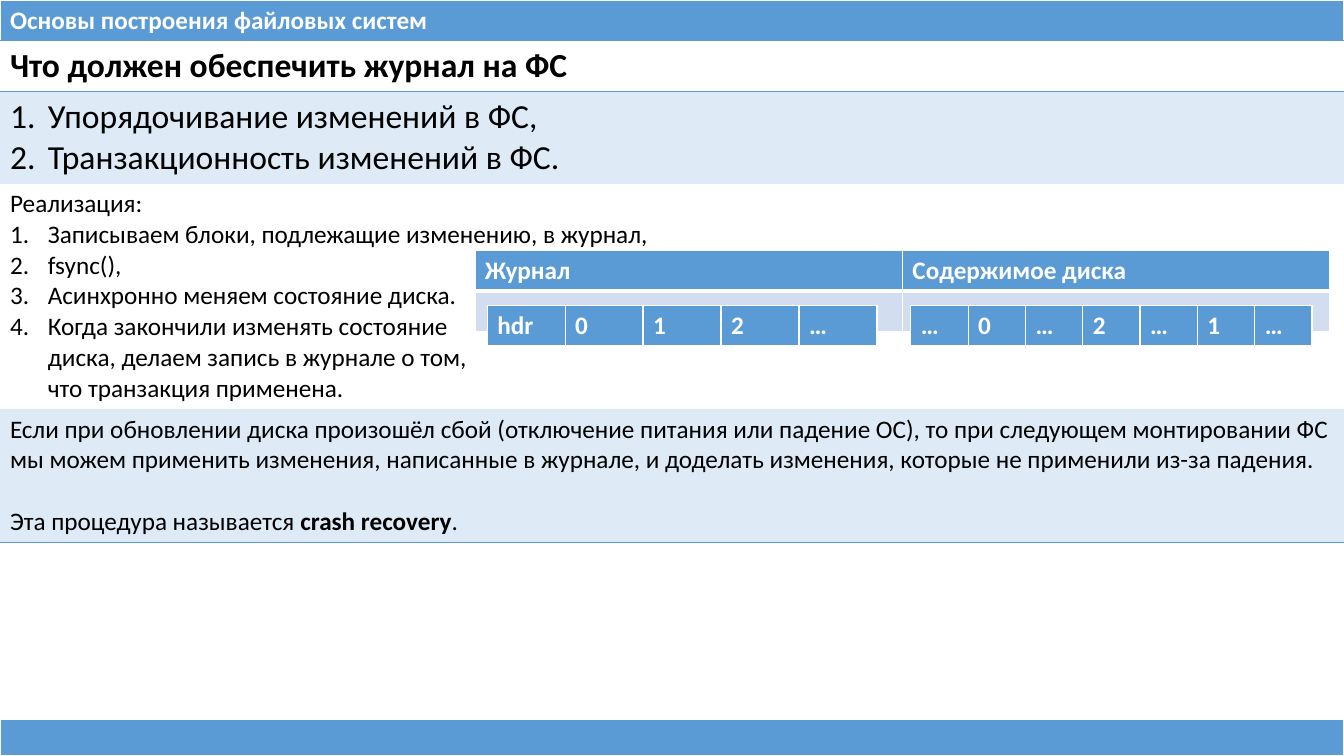
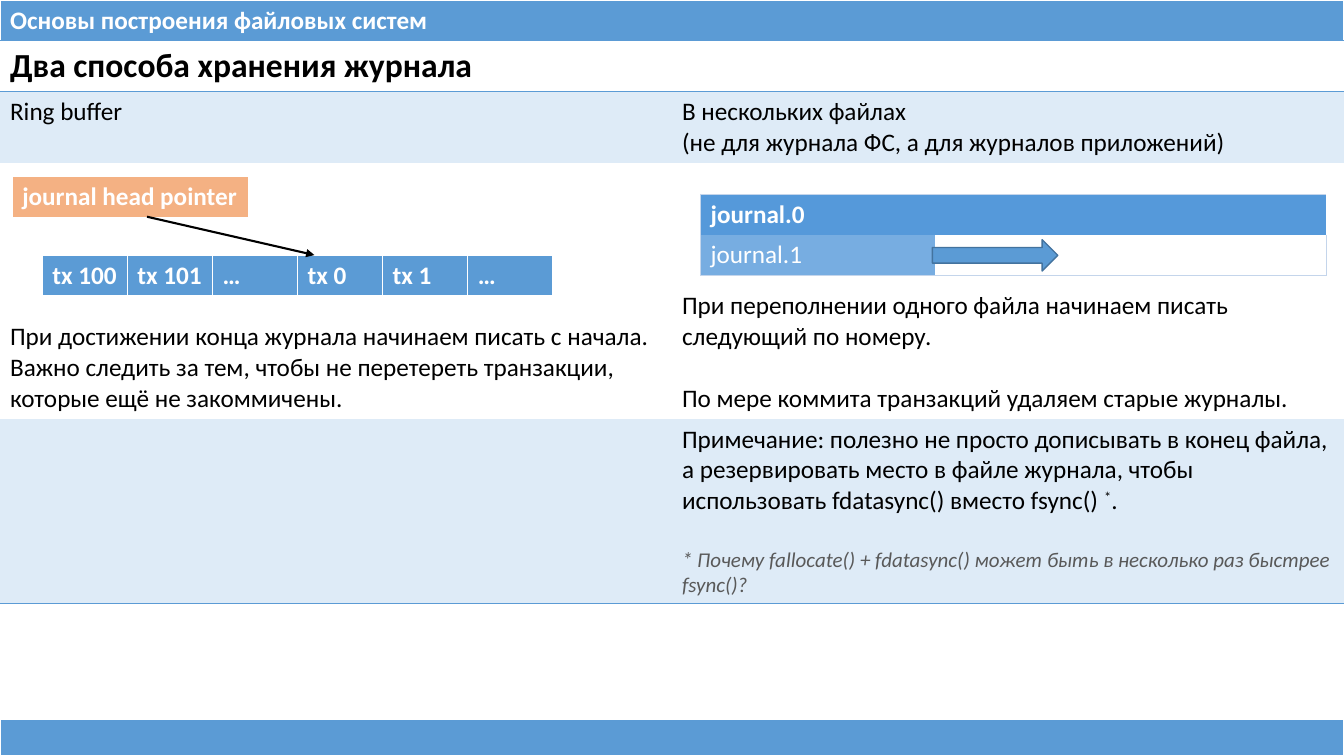
from dataclasses import dataclass

from lxml import etree
from pptx import Presentation
from pptx.dml.color import RGBColor
from pptx.enum.shapes import MSO_CONNECTOR, MSO_SHAPE
from pptx.enum.text import MSO_ANCHOR
from pptx.oxml.ns import qn
from pptx.util import Pt

STRAIGHT = MSO_CONNECTOR.STRAIGHT
RIGHT_ARROW = MSO_SHAPE.RIGHT_ARROW
TOP, BOTTOM = MSO_ANCHOR.TOP, MSO_ANCHOR.BOTTOM

COLORS = {
    "blue": "5B9BD5",
    "pale": "DEEBF7",
    "band": "D2DEEF",
    "orange": "F4B183",
    "file": "5599DA",
    "file_light": "77ADE1",
    "file_edge": "C4D5EB",
    "arrow_edge": "43739E",
    "white": "FFFFFF",
    "black": "000000",
    "grey": "595959",
}
FONT = "Calibri"
PLAIN_TABLE = "{2D5ABB26-0587-4C30-8999-92F81FD0307C}"
W, H = 960, 540
BAR_H = 28.8
FOOTER_Y = 514
LINE = 22  # height of one body line
INDENT = 27


@dataclass(frozen=True)
class Run:
    text: str
    bold: bool = False
    superscript: bool = False


@dataclass(frozen=True)
class Para:
    runs: tuple[Run, ...]
    size: float = 18
    color: str = "black"
    bold: bool | None = None
    italic: bool = False
    numbered: bool = False
    before: float = 0


@dataclass(frozen=True)
class Cell:
    paras: tuple[Para, ...] = ()
    fill: str | None = None
    anchor: MSO_ANCHOR = TOP
    span: int = 1


def para(text: str, **style) -> Para:
    return Para((Run(text),), **style)


def label(text: str, fill: str = "blue", bold: bool = True, span: int = 1) -> Cell:
    return Cell((para(text, color="white", bold=bold),), fill, span=span)


def rgb(name: str) -> RGBColor:
    return RGBColor.from_string(COLORS[name])


def write_para(p, item: Para) -> None:
    f = p.font
    f.name, f.size, f.italic = FONT, Pt(item.size), item.italic
    f.color.rgb = rgb(item.color)
    if item.bold is not None:
        f.bold = item.bold
    if item.before:
        p.space_before = Pt(item.before)
    if item.numbered:
        pPr = p._p.get_or_add_pPr()
        pPr.set("marL", str(Pt(INDENT)))
        pPr.set("indent", str(-Pt(INDENT)))
        number = etree.Element(qn("a:buAutoNum"), type="arabicPeriod")
        pPr.insert_element_before(number, "a:defRPr")
    for run in item.runs:
        for i, piece in enumerate(run.text.split("\n")):
            if i:
                p.add_line_break()
            r = p.add_run()
            r.text = piece
            if run.bold:
                r.font.bold = True
            if run.superscript:
                r._r.get_or_add_rPr().set("baseline", "30000")


def add_border(cell, side: str, width: float, color: str) -> None:
    tcPr = cell._tc.get_or_add_tcPr()
    ln = etree.SubElement(tcPr, qn(f"a:ln{side}"), w=str(Pt(width)))
    if width:
        fill = etree.SubElement(ln, qn("a:solidFill"))
        etree.SubElement(fill, qn("a:srgbClr"), val=COLORS[color])
    else:
        etree.SubElement(ln, qn("a:noFill"))


def draw_table(slide, x: float, y: float, cols: list[float], rows: list[float],
               cells: list[list[Cell]], line: str = "white",
               across: dict[int, float] | None = None,
               down: dict[int, float] | None = None) -> None:
    """across and down give the width of each grid line by index."""
    across = dict.fromkeys(range(len(rows) + 1), 1) if across is None else across
    down = dict.fromkeys(range(len(cols) + 1), 1) if down is None else down
    frame = slide.shapes.add_table(len(rows), len(cols), Pt(x), Pt(y),
                                   Pt(sum(cols)), Pt(sum(rows)))
    table = frame.table
    table.first_row = table.horz_banding = False
    table._tbl.tblPr.find(qn("a:tableStyleId")).text = PLAIN_TABLE
    for col, width in zip(table.columns, cols):
        col.width = Pt(width)
    for row, height in zip(table.rows, rows):
        row.height = Pt(height)
    for i, items in enumerate(cells):
        for j, item in enumerate(items):
            cell = table.cell(i, j)
            if item.span > 1:
                cell.merge(table.cell(i, j + item.span - 1))
            last = j + item.span
            for k in range(j, last):
                part = table.cell(i, k)
                edges = {"L": down.get(k, 0) if k == j else 0,
                         "R": down.get(k + 1, 0) if k + 1 == last else 0,
                         "T": across.get(i, 0), "B": across.get(i + 1, 0)}
                for side, width in edges.items():
                    add_border(part, side, width, line)
            if item.fill:
                cell.fill.solid()
                cell.fill.fore_color.rgb = rgb(item.fill)
            else:
                cell.fill.background()
            cell.vertical_anchor = item.anchor
            if not item.paras:
                cell.margin_top = cell.margin_bottom = 0
            tf = cell.text_frame
            for n, text in enumerate(item.paras):
                write_para(tf.add_paragraph() if n else tf.paragraphs[0], text)


def add_arrow_line(slide, x1: float, y1: float, x2: float, y2: float) -> None:
    c = slide.shapes.add_connector(STRAIGHT, Pt(x1), Pt(y1), Pt(x2), Pt(y2))
    c.line.color.rgb = rgb("black")
    c.line.width = Pt(1.5)
    etree.SubElement(c.line._get_or_add_ln(), qn("a:tailEnd"), type="triangle")
    etree.SubElement(c._element.spPr, qn("a:effectLst"))


def add_page(prs, title: str, cols: list[float], rows: list[float],
             body: list[list[Cell]]):
    """Slide with header bar, footer bar, title row and body rows."""
    slide = prs.slides.add_slide(prs.slide_layouts[6])
    draw_table(slide, 0, 0, [W], [BAR_H],
               [[label("Основы построения файловых систем")]])
    draw_table(slide, 0, FOOTER_Y, [W], [H - FOOTER_Y], [[Cell(fill="blue")]])
    heading = Cell((para(title, size=24, bold=True),), span=len(cols))
    draw_table(slide, 0, BAR_H, cols, [36.5, *rows], [[heading], *body],
               "blue", {0: 1, 1: 1, len(rows) + 1: 1}, {})
    return slide


def build_requirements(prs) -> None:
    goals = ("Упорядочивание изменений в ФС,", "Транзакционность изменений в ФС.")
    steps = (
        "Записываем блоки, подлежащие изменению, в журнал,",
        "fsync(),",
        "Асинхронно меняем состояние диска.",
        "Когда закончили изменять состояние\nдиска, делаем запись в журнале о том,\n"
        "что транзакция применена.",
    )
    recovery = (
        para("Если при обновлении диска произошёл сбой (отключение питания или падение "
             "ОС), то при следующем монтировании ФС мы можем применить изменения, "
             "написанные в журнале, и доделать изменения, которые не применили из-за "
             "падения."),
        Para((Run("Эта процедура называется "), Run("crash recovery", bold=True),
              Run(".")), before=LINE),
    )
    slide = add_page(prs, "Что должен обеспечить журнал на ФС", [W], [65.7, 160.7, 95.5], [
        [Cell(tuple(para(g, size=24, numbered=True) for g in goals), "pale")],
        [Cell((para("Реализация:"), *(para(s, numbered=True) for s in steps)))],
        [Cell(recovery, "pale")],
    ])
    # Journal and disk blocks
    draw_table(slide, 339.4, 178.6, [305.2] * 2, [29.2] * 2,
               [[label("Журнал"), label("Содержимое диска")],
                [Cell(fill="band"), Cell(fill="band")]],
               across={0: 1, 1: 3, 2: 1})
    for x, width, blocks in ((348, 55.7, "hdr 0 1 2 …"),
                             (650.6, 40.95, "… 0 … 2 … 1 …")):
        names = blocks.split()
        draw_table(slide, x, 218, [width] * len(names), [29.2],
                   [[label(n) for n in names]])


def build_storage(prs) -> None:
    ring = para("При достижении конца журнала начинаем писать с начала. Важно следить за "
                "тем, чтобы не перетереть транзакции, которые ещё не закоммичены.")
    files = (
        para("При переполнении одного файла начинаем писать следующий по номеру."),
        para("По мере коммита транзакций удаляем старые журналы.", before=LINE),
    )
    note = (
        Para((Run("Примечание: полезно не просто дописывать в конец файла, а "
                  "резервировать место в файле журнала, чтобы использовать fdatasync() "
                  "вместо fsync() "), Run("*", superscript=True), Run("."))),
        para("* Почему fallocate() + fdatasync() может быть в несколько раз быстрее "
             "fsync()?", size=15, color="grey", italic=True, before=LINE),
    )
    slide = add_page(prs, "Два способа хранения журнала", [W / 2] * 2, [51.2, 182.8, 131.6], [
        [Cell((para("Ring buffer"),), "pale"),
         Cell((para("В нескольких файлах"),
               para("(не для журнала ФС, а для журналов приложений)")), "pale")],
        [Cell((ring,), anchor=BOTTOM), Cell(files, anchor=BOTTOM)],
        [Cell(fill="pale"), Cell(note, "pale")],
    ])
    # Ring buffer with its head pointer
    names = ["tx 100", "tx 101", "…", "tx 0", "tx 1", "…"]
    draw_table(slide, 30.2, 182.2, [60.8] * len(names), [BAR_H],
               [[label(n) for n in names]])
    draw_table(slide, 8.7, 126, [169.2], [BAR_H],
               [[label("journal head pointer", "orange")]])
    add_arrow_line(slide, 105, 154.8, 224.6, 182.2)
    # Journal files
    draw_table(slide, 500.4, 138.6, [167.6, 279.4], [29.2] * 2,
               [[label("journal.0", "file", span=2)],
                [label("journal.1", "file_light", bold=False), Cell(fill="white")]],
               "file_edge", {0: 0.5, 2: 0.5}, {0: 0.5, 2: 0.5})
    sp = slide.shapes.add_shape(RIGHT_ARROW, Pt(666), Pt(171.2), Pt(89.6), Pt(22.4))
    sp.shadow.inherit = False
    sp.fill.solid()
    sp.fill.fore_color.rgb = rgb("blue")
    sp.line.color.rgb = rgb("arrow_edge")
    sp.line.width = Pt(1)


def main() -> None:
    prs = Presentation()
    prs.slide_width, prs.slide_height = Pt(W), Pt(H)
    build_requirements(prs)
    build_storage(prs)
    prs.save("out.pptx")


if __name__ == "__main__":
    main()
